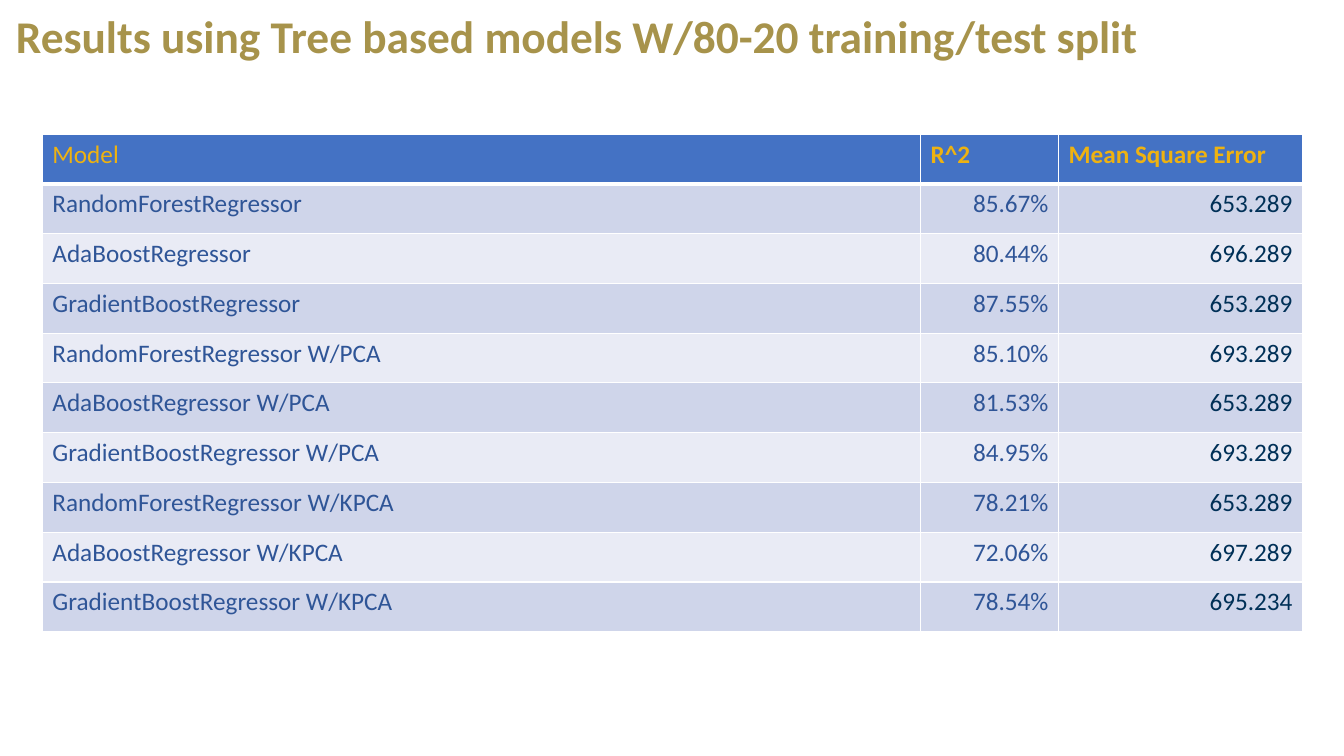
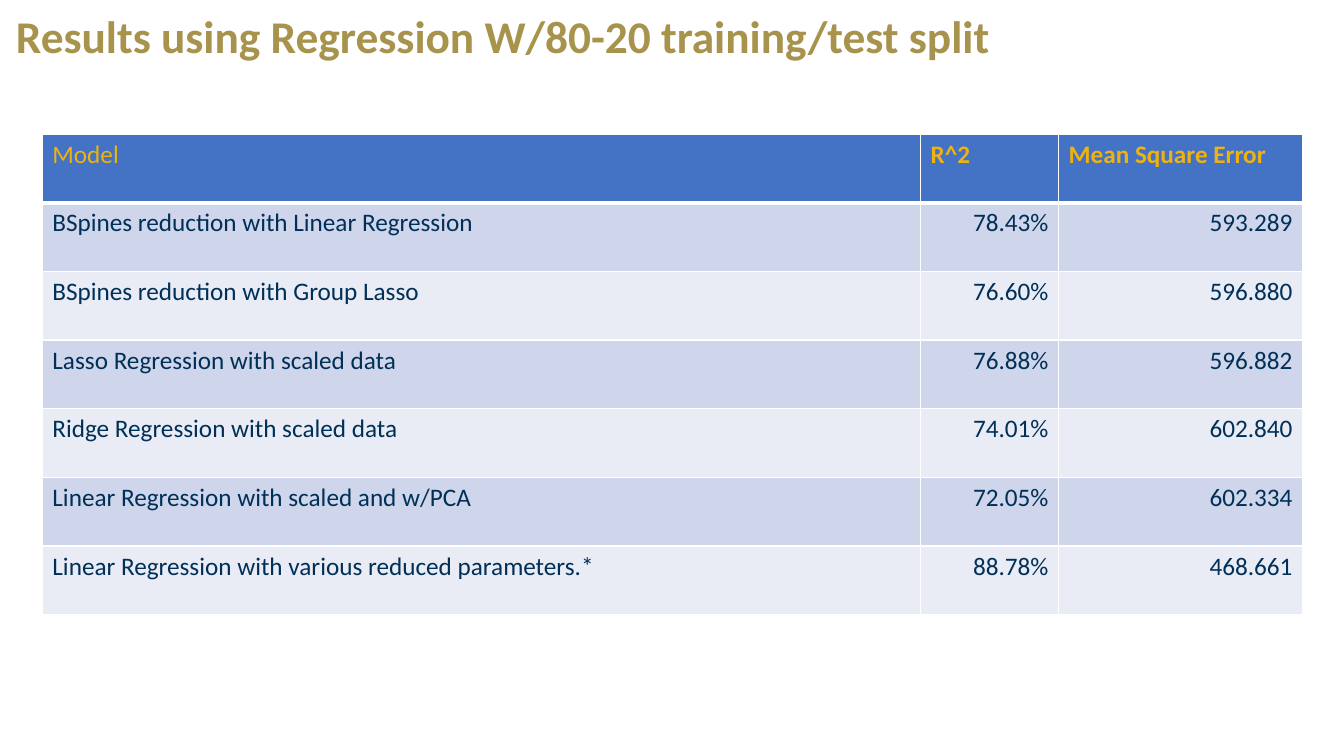
import pptx
import pptx.dml.color
import pptx.enum.text
import pptx.oxml
import pptx.oxml.ns
import pptx.util

Inches = pptx.util.Inches
ALIGN = pptx.enum.text.PP_ALIGN

COLORS = {
    "title": "A7934B",
    "header_fill": "4472C4",
    "header_text": "EEB211",
    "odd_band": "CFD5EA",
    "even_band": "E9EBF5",
    "blue": "2F5597",
    "navy": "003057",
    "border": "FFFFFF",
}
FONT = "Calibri"
TITLE_BOX = (0.06, 0.09, 12.5, 1.11)
TABLE_LEFT, TABLE_TOP = 0.42, 1.33
COLUMN_WIDTHS = (8.71, 1.37, 2.42)
HEADINGS = ("Model", "R^2", "Mean Square Error")

TREE_RESULTS = [
    ("RandomForestRegressor", "85.67%", "653.289"),
    ("AdaBoostRegressor", "80.44%", "696.289"),
    ("GradientBoostRegressor", "87.55%", "653.289"),
    ("RandomForestRegressor W/PCA", "85.10%", "693.289"),
    ("AdaBoostRegressor W/PCA", "81.53%", "653.289"),
    ("GradientBoostRegressor W/PCA", "84.95%", "693.289"),
    ("RandomForestRegressor W/KPCA", "78.21%", "653.289"),
    ("AdaBoostRegressor W/KPCA", "72.06%", "697.289"),
    ("GradientBoostRegressor W/KPCA", "78.54%", "695.234"),
]
REGRESSION_RESULTS = [
    ("BSpines reduction with Linear Regression", "78.43%", "593.289"),
    ("BSpines reduction with Group Lasso", "76.60%", "596.880"),
    ("Lasso Regression with scaled data", "76.88%", "596.882"),
    ("Ridge Regression with scaled data", "74.01%", "602.840"),
    ("Linear Regression with scaled and w/PCA", "72.05%", "602.334"),
    ("Linear Regression with various reduced parameters.*", "88.78%", "468.661"),
]


def rgb(name):
    return pptx.dml.color.RGBColor.from_string(COLORS[name])


def write_text(frame, text, color, size=18, bold=False, align=ALIGN.LEFT, line_spacing=1.0):
    paragraph = frame.paragraphs[0]
    paragraph.alignment = align
    paragraph.line_spacing = line_spacing
    run = paragraph.add_run()
    run.text = text
    run.font.name = FONT
    run.font.size = pptx.util.Pt(size)
    run.font.bold = bold
    run.font.color.rgb = rgb(color)


def add_title(slide, text, box):
    title = slide.shapes.add_textbox(*map(Inches, box))
    title.text_frame.word_wrap = True
    title.text_frame.vertical_anchor = pptx.enum.text.MSO_ANCHOR.TOP
    write_text(title.text_frame, text, "title", size=32.4, bold=True, line_spacing=0.9)


def style_cell(cell, fill, top=1, bottom=1):
    """Fill the cell and draw its borders, with top and bottom widths in points."""
    properties = cell._tc.get_or_add_tcPr()
    for side, width in (("L", 1), ("R", 1), ("T", top), ("B", bottom)):
        properties.append(pptx.oxml.parse_xml(
            f'<a:ln{side} {pptx.oxml.ns.nsdecls("a")} w="{pptx.util.Pt(width)}">'
            f'<a:solidFill><a:srgbClr val="{COLORS["border"]}"/></a:solidFill>'
            f'</a:ln{side}>'))
    cell.fill.solid()
    cell.fill.fore_color.rgb = rgb(fill)


def add_results_table(slide, results, left, top, row_height, column_colors):
    row_count = len(results) + 1
    table = slide.shapes.add_table(
        row_count, len(HEADINGS), Inches(left), Inches(top),
        Inches(sum(COLUMN_WIDTHS)), Inches(row_height * row_count)).table
    for column, width in zip(table.columns, COLUMN_WIDTHS):
        column.width = Inches(width)
    for row in table.rows:
        row.height = Inches(row_height)

    for column, heading in enumerate(HEADINGS):
        cell = table.cell(0, column)
        style_cell(cell, "header_fill", bottom=3)
        write_text(cell.text_frame, heading, "header_text", bold=column > 0)

    for row, result in enumerate(results, start=1):
        band = "odd_band" if row % 2 else "even_band"
        for column, (value, color) in enumerate(zip(result, column_colors)):
            cell = table.cell(row, column)
            style_cell(cell, band, top=3 if row == 1 else 1)
            write_text(cell.text_frame, value, color,
                       align=ALIGN.RIGHT if column else ALIGN.LEFT)


def add_results_slide(deck, title, results, table_height, column_colors):
    slide = deck.slides.add_slide(deck.slide_layouts[6])
    row_height = table_height / (len(results) + 1)
    add_results_table(slide, results, TABLE_LEFT, TABLE_TOP, row_height, column_colors)
    add_title(slide, title, TITLE_BOX)


def main():
    deck = pptx.Presentation()
    deck.slide_width, deck.slide_height = Inches(13.33), Inches(7.5)
    add_results_slide(deck, "Results using Tree based models W/80-20 training/test split",
                      TREE_RESULTS, 4.94, ("blue", "blue", "navy"))
    add_results_slide(deck, "Results using Regression W/80-20 training/test split",
                      REGRESSION_RESULTS, 4.77, ("navy", "navy", "navy"))
    deck.save("out.pptx")


if __name__ == "__main__":
    main()
